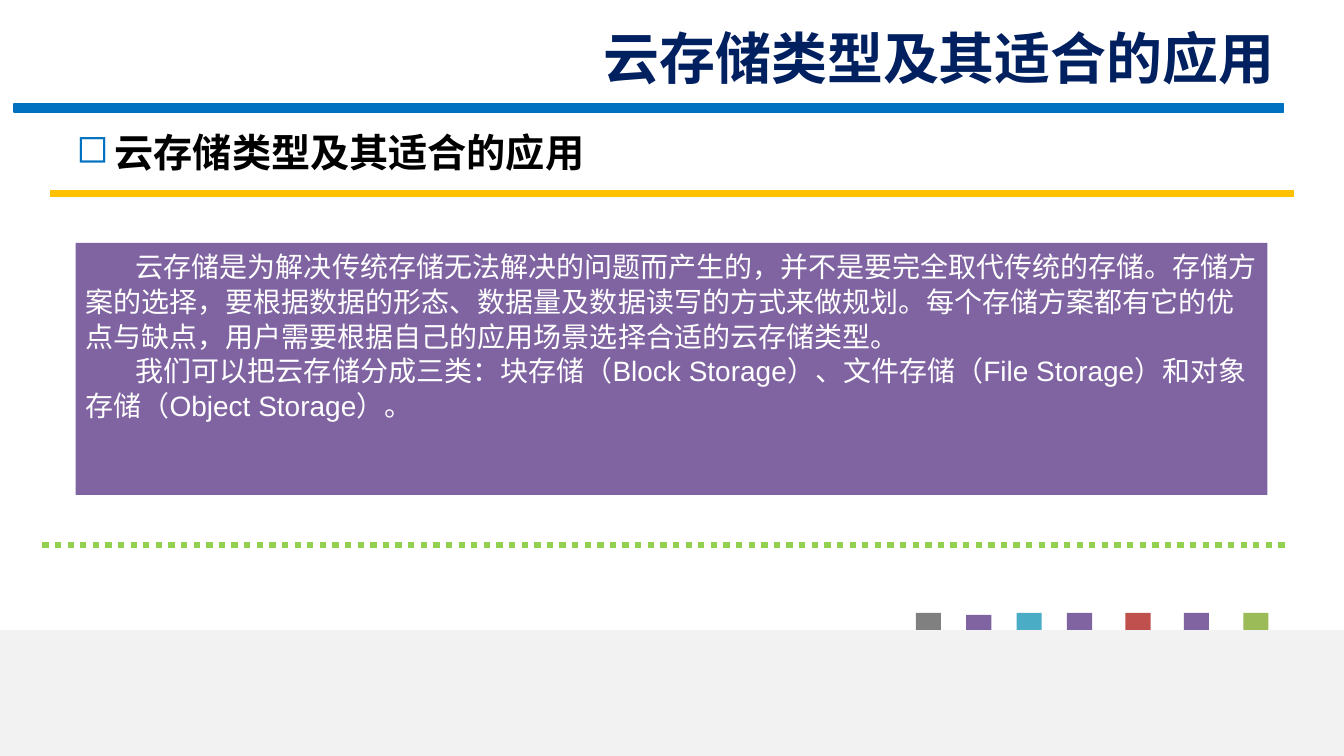
from lxml.etree import SubElement
from pptx import Presentation
from pptx.dml.color import RGBColor
from pptx.enum.dml import MSO_LINE_DASH_STYLE as Dash
from pptx.enum.shapes import MSO_CONNECTOR as Connector, MSO_SHAPE as Shape
from pptx.enum.text import MSO_ANCHOR as Anchor, MSO_AUTO_SIZE as AutoSize, PP_ALIGN as Align
from pptx.oxml.ns import qn
from pptx.util import Pt

PX = 9144
COLORS = {
    "navy": "002060", "blue": "0070C0", "amber": "FFC000", "lime": "92D050",
    "purple": "8064A2", "green": "9BBB59", "red": "C0504D", "teal": "4BACC6",
    "gray": "808080", "pale": "F2F2F2", "white": "FFFFFF", "black": "000000",
}
HEADING = "云存储类型及其适合的应用"
BODY = [
    "云存储是为解决传统存储无法解决的问题而产生的，并不是要完全取代传统的存储。"
    "存储方案的选择，要根据数据的形态、数据量及数据读写的方式来做规划。"
    "每个存储方案都有它的优点与缺点，用户需要根据自己的应用场景选择合适的云存储类型。",
    "我们可以把云存储分成三类：块存储（Block Storage）、文件存储（File Storage）"
    "和对象存储（Object Storage）。",
]
TABS = [
    (1234, 608, "green"), (1175, 608, "purple"), (1117, 608, "red"),
    (1059, 608, "purple"), (1009, 608, "teal"), (959, 610, "purple"),
    (909, 608, "gray"),
]


def rgb(name):
    return RGBColor.from_string(COLORS[name])


def px(*lengths):
    return [length * PX for length in lengths]


def style(para, face, size, color, bold=False):
    font = para.font
    font.name, font.size, font.bold = face, Pt(size), bold
    font.color.rgb = rgb(color)
    defaults = para._p.get_or_add_pPr().find(qn("a:defRPr"))
    SubElement(defaults, qn("a:ea")).set("typeface", face)


def add_block(page, left, top, width, height, color, outlined=False):
    block = page.shapes.add_shape(Shape.RECTANGLE, *px(left, top, width, height))
    block.shadow.inherit = False
    block.fill.solid()
    block.fill.fore_color.rgb = rgb(color)
    if outlined:
        block.line.color.rgb = rgb(color)
        block.line.width = Pt(1)
    else:
        block.line.fill.background()
    return block


def add_rule(page, left, right, y, color, dash=None):
    rule = page.shapes.add_connector(Connector.STRAIGHT, *px(left, y, right, y))
    rule.line.color.rgb = rgb(color)
    rule.line.width = Pt(4.5)
    if dash:
        rule.line.dash_style = dash
    SubElement(rule._element.spPr, qn("a:effectLst"))


def place_title(page):
    title = page.shapes.title
    title.left, title.top, title.width, title.height = px(584, 34, 691, 58)
    frame = title.text_frame
    frame.auto_size = AutoSize.NONE
    frame.vertical_anchor = Anchor.BOTTOM
    frame.margin_bottom = px(2)[0]
    para = frame.paragraphs[0]
    para.text = HEADING
    para.alignment = Align.RIGHT
    style(para, "Lato", 40, "navy", bold=True)


def add_body(page):
    frame = add_block(page, 75, 241, 1183, 250, "purple").text_frame
    frame.word_wrap = True
    frame.vertical_anchor = Anchor.TOP
    for index, text in enumerate(BODY):
        para = frame.add_paragraph() if index else frame.paragraphs[0]
        para.text = text
        para.alignment = Align.LEFT
        para.line_spacing = 1.04
        para._p.get_or_add_pPr().set("indent", str(50 * PX))
        style(para, "Arial", 20, "white")


def add_subheading(page):
    frame = page.shapes.add_textbox(*px(66, 122, 531, 57)).text_frame
    frame.word_wrap = False
    frame.auto_size = AutoSize.SHAPE_TO_FIT_TEXT
    para = frame.paragraphs[0]
    para.text = HEADING
    props = para._p.get_or_add_pPr()
    props.set("marL", str(38 * PX))
    props.set("indent", str(-38 * PX))
    tint = SubElement(props, qn("a:buClr"))
    SubElement(tint, qn("a:srgbClr")).set("val", COLORS["blue"])
    SubElement(props, qn("a:buChar")).set("char", "◻")
    style(para, "Noto Sans CJK SC", 28, "black", bold=True)


def main():
    deck = Presentation()
    deck.slide_width, deck.slide_height = px(1334, 750)
    page = deck.slides.add_slide(deck.slide_layouts[5])
    place_title(page)
    add_body(page)
    add_rule(page, 50, 1284, 192, "amber")
    add_rule(page, 42, 1275, 541, "lime", Dash.ROUND_DOT)
    for left, top, color in TABS:
        add_block(page, left, top, 25, 750 - top, color)
    add_block(page, 0, 625, 1334, 125, "pale")
    add_block(page, 14, 103, 1260, 8, "blue", outlined=True)
    add_subheading(page)
    deck.save("out.pptx")


if __name__ == "__main__":
    main()
